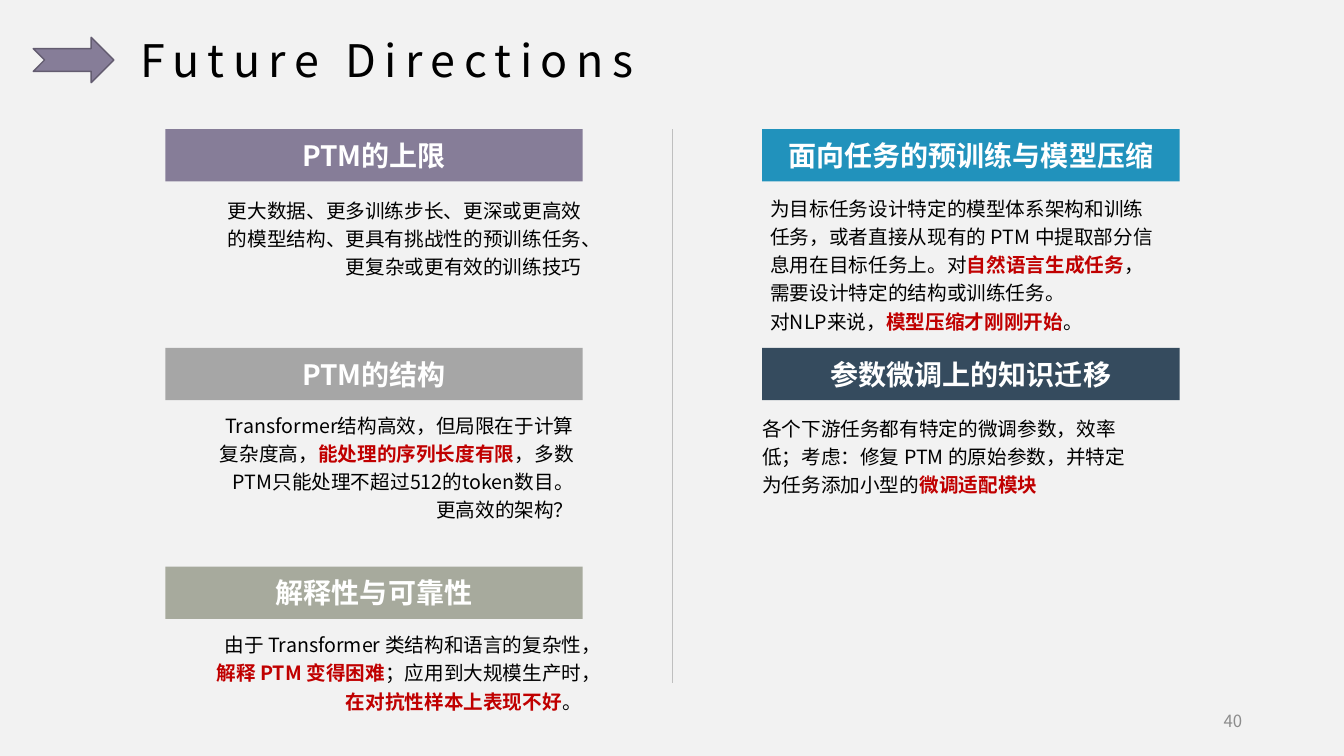
from pptx import Presentation
from pptx.dml.color import RGBColor
from pptx.enum.shapes import MSO_CONNECTOR, MSO_SHAPE
from pptx.enum.text import MSO_ANCHOR, MSO_AUTO_SIZE, PP_ALIGN
from pptx.oxml.ns import qn
from pptx.util import Inches, Pt
from lxml.etree import SubElement

FONT = "Noto Sans CJK SC"
COLORS = {
    "back": "F2F2F2", "text": "000000", "strong": "C00000", "white": "FFFFFF",
    "purple": "867D98", "edge": "635C70", "blue": "2192BC", "gray": "A6A6A6",
    "navy": "354B5E", "olive": "A7AA9D", "rule": "BFBFBF", "page": "8C8C8C",
}


def color(name):
    return RGBColor.from_string(COLORS[name])


def write(para, text, size, tone, align=PP_ALIGN.LEFT, bold=False):
    """Fill a paragraph; parts between asterisks are bold and red."""
    para.alignment = align
    font = para.font
    font.name, font.size, font.bold = FONT, Pt(size), bold
    font.color.rgb = color(tone)
    SubElement(para._p.pPr.find(qn("a:defRPr")), qn("a:ea"), typeface=FONT)
    for i, part in enumerate(text.split("*")):
        run = para.add_run()
        run.text = part
        if i % 2:
            run.font.bold = True
            run.font.color.rgb = color("strong")


deck = Presentation()
deck.slide_width, deck.slide_height = Inches(13.33), Inches(7.5)
slide = deck.slides.add_slide(deck.slide_layouts[6])
slide.background.fill.solid()
slide.background.fill.fore_color.rgb = color("back")
shapes = slide.shapes

# Title
arrow = shapes.add_shape(MSO_SHAPE.NOTCHED_RIGHT_ARROW, Inches(0.33),
                         Inches(0.37), Inches(0.8), Inches(0.45))
arrow.shadow.inherit = False
arrow.fill.solid()
arrow.fill.fore_color.rgb = color("purple")
arrow.line.color.rgb = color("edge")
arrow.line.width = Pt(1)

title = shapes.add_textbox(Inches(1.29), Inches(0.28), Inches(5.51), Inches(0.64))
title.text_frame.word_wrap = True
title.text_frame.auto_size = MSO_AUTO_SIZE.SHAPE_TO_FIT_TEXT
head = title.text_frame.paragraphs[0]
write(head, "Future Directions", 32, "text")
head.runs[0]._r.get_or_add_rPr().set("spc", "600")

# Divider
rule = shapes.add_connector(MSO_CONNECTOR.STRAIGHT, Inches(6.67), Inches(1.28),
                            Inches(6.67), Inches(6.78))
rule.line.color.rgb = color("rule")
rule.line.width = Pt(0.5)
SubElement(rule._element.spPr, qn("a:effectLst"))

# Topics: column, row, fill, heading, body box, body paragraphs
TOPICS = [
    (0, 0, "purple", "PTM的上限", (2.14, 1.9, 3.63, 0.89),
     ["更大数据、更多训练步长、更深或更高效的模型结构、更具有挑战性的预训练任务、"
      "更复杂或更有效的训练技巧"]),
    (1, 0, "blue", "面向任务的预训练与模型压缩", (7.64, 1.91, 3.84, 1.39),
     ["为目标任务设计特定的模型体系架构和训练任务，或者直接从现有的 PTM 中提取部分"
      "信息用在目标任务上。对*自然语言生成任务*，需要设计特定的结构或训练任务。",
      "对NLP来说，*模型压缩才刚刚开始*。"]),
    (0, 1, "gray", "PTM的结构", (2.14, 4.06, 3.55, 1.11),
     ["Transformer结构高效，但局限在于计算复杂度高，*能处理的序列长度有限*，"
      "多数PTM只能处理不超过512的token数目。更高效的架构？"]),
    (1, 1, "navy", "参数微调上的知识迁移", (7.56, 4.06, 3.63, 0.89),
     ["各个下游任务都有特定的微调参数，效率低；考虑：修复 PTM 的原始参数，"
      "并特定为任务添加小型的*微调适配模块*"]),
    (0, 2, "olive", "解释性与可靠性", (2.14, 6.21, 3.63, 0.89),
     ["由于 Transformer 类结构和语言的复杂性，*解释 PTM 变得困难*；"
      "应用到大规模生产时，*在对抗性样本上表现不好*。"]),
]
for col, row, fill, name, box, texts in TOPICS:
    bar = shapes.add_shape(MSO_SHAPE.RECTANGLE, Inches(1.64 + 5.92 * col),
                           Inches(1.28 + 2.17 * row), Inches(4.14), Inches(0.52))
    bar.shadow.inherit = False
    bar.fill.solid()
    bar.fill.fore_color.rgb = color(fill)
    bar.line.fill.background()
    bar.text_frame.word_wrap = False
    bar.text_frame.vertical_anchor = MSO_ANCHOR.MIDDLE
    write(bar.text_frame.paragraphs[0], name, 20, "white", PP_ALIGN.CENTER, True)

    frame = shapes.add_textbox(*map(Inches, box)).text_frame
    frame.word_wrap = True
    frame.vertical_anchor = MSO_ANCHOR.MIDDLE
    frame.margin_left = frame.margin_right = 0
    frame.margin_top = frame.margin_bottom = 0
    for i, text in enumerate(texts):
        para = frame.add_paragraph() if i else frame.paragraphs[0]
        para.line_spacing = 1.2
        write(para, text, 14, "text", PP_ALIGN.LEFT if col else PP_ALIGN.RIGHT)

# Page number
page = shapes.add_textbox(Inches(9.42), Inches(6.95), Inches(3), Inches(0.4))
page.text_frame.word_wrap = True
page.text_frame.vertical_anchor = MSO_ANCHOR.MIDDLE
write(page.text_frame.paragraphs[0], "40", 12, "page", PP_ALIGN.RIGHT)

deck.save("out.pptx")
